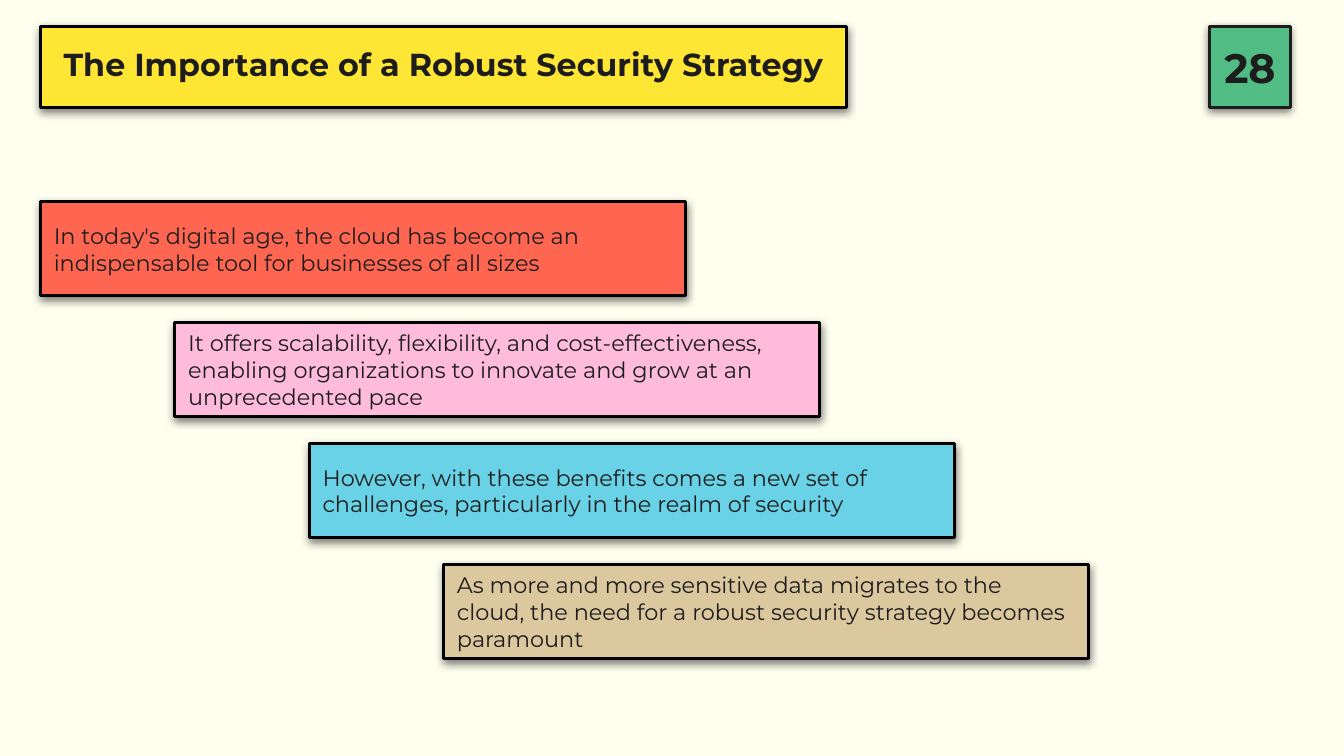
import dataclasses

import lxml.etree
import pptx
import pptx.dml.color
import pptx.enum.shapes
import pptx.enum.text
import pptx.oxml.ns
import pptx.util

Inches = pptx.util.Inches
Align = pptx.enum.text.PP_ALIGN


@dataclasses.dataclass(frozen=True)
class Theme:
    font: str = "Montserrat"
    background: str = "FFFFF0"
    ink: str = "1D1D1D"
    border: str = "000000"
    shadow: str = "000000"
    title_fill: str = "FFE534"
    number_fill: str = "51BD85"
    step_fills: tuple = ("FF6652", "FFBBDC", "6AD2E6", "DBC89F")
    title_size: float = 17
    number_size: float = 22
    body_size: float = 12
    border_width: float = 1.5


def color(value):
    return pptx.dml.color.RGBColor.from_string(value)


def add_element(parent, tag, **attributes):
    return lxml.etree.SubElement(parent, pptx.oxml.ns.qn(tag), attributes)


def write_text(box, text, *, theme, size, bold=False, align=Align.LEFT, spacing=1.0):
    frame = box.text_frame
    frame.word_wrap = True
    frame.auto_size = pptx.enum.text.MSO_AUTO_SIZE.NONE
    frame.vertical_anchor = pptx.enum.text.MSO_ANCHOR.MIDDLE
    frame.margin_left = frame.margin_right = Inches(0.1)
    frame.margin_top = frame.margin_bottom = Inches(0.1)

    para = frame.paragraphs[0]
    properties = para._p.get_or_add_pPr()
    properties.set("marL", "0")
    properties.set("indent", "0")
    add_element(properties, "a:buNone")
    para.alignment = align
    para.line_spacing = spacing
    para.space_before = pptx.util.Pt(0)

    span = para.add_run()
    span.text = text
    span.font.name = theme.font
    span.font.size = pptx.util.Pt(size)
    span.font.bold = bold
    span.font.color.rgb = color(theme.ink)


class SlideBuilder:
    def __init__(self, deck, theme):
        self.theme = theme
        # The comparison layout has a title and four text placeholders
        self.page = deck.slides.add_slide(deck.slide_layouts[4])
        self.page.background.fill.solid()
        self.page.background.fill.fore_color.rgb = color(theme.background)
        self.bodies = list(self.page.placeholders)[1:]

    def style_card(self, box, left, top, width, height, fill, border):
        box.left, box.top = Inches(left), Inches(top)
        box.width, box.height = Inches(width), Inches(height)
        box.fill.solid()
        box.fill.fore_color.rgb = color(fill)
        box.line.color.rgb = color(border)
        box.line.width = pptx.util.Pt(self.theme.border_width)
        self.add_shadow(box)

    def add_shadow(self, box):
        effects = add_element(box._element.spPr, "a:effectLst")
        shadow = add_element(
            effects, "a:outerShdw", blurRad=str(pptx.util.Pt(4.5)),
            dist=str(pptx.util.Pt(1.5)), dir="5400000", algn="bl", rotWithShape="0")
        tint = add_element(shadow, "a:srgbClr", val=self.theme.shadow)
        add_element(tint, "a:alpha", val="50000")

    def add_title(self, text):
        box = self.page.shapes.title
        self.style_card(box, 0.3, 0.2, 6, 0.6, self.theme.title_fill, self.theme.border)
        write_text(box, text, theme=self.theme, size=self.theme.title_size,
                   bold=True, align=Align.CENTER, spacing=0.8)

    def add_page_number(self, text):
        box = self.page.shapes.add_shape(
            pptx.enum.shapes.MSO_SHAPE.RECTANGLE, 0, 0, 0, 0)
        self.style_card(box, 9, 0.2, 0.6, 0.6, self.theme.number_fill, self.theme.ink)
        write_text(box, text, theme=self.theme, size=self.theme.number_size,
                   bold=True, align=Align.CENTER)

    def add_steps(self, texts):
        # Each card sits one inch right of and 0.9 inch below the last
        cards = zip(self.bodies, texts, self.theme.step_fills)
        for index, (box, text, fill) in enumerate(cards):
            self.style_card(box, 0.3 + index, 1.5 + 0.9 * index, 4.8, 0.7,
                            fill, self.theme.border)
            write_text(box, text, theme=self.theme, size=self.theme.body_size)


def main():
    # Widescreen page, 16:9
    deck = pptx.Presentation()
    deck.slide_width = Inches(10)
    deck.slide_height = deck.slide_width * 9 // 16
    builder = SlideBuilder(deck, Theme())

    # Header
    builder.add_page_number("28")
    builder.add_title("The Importance of a Robust Security Strategy")

    # Staircase of points
    builder.add_steps([
        "In today's digital age, the cloud has become an indispensable tool "
        "for businesses of all sizes",
        "It offers scalability, flexibility, and cost-effectiveness, enabling "
        "organizations to innovate and grow at an unprecedented pace",
        "However, with these benefits comes a new set of challenges, "
        "particularly in the realm of security",
        "As more and more sensitive data migrates to the cloud, the need for "
        "a robust security strategy becomes paramount",
    ])
    deck.save("out.pptx")


if __name__ == "__main__":
    main()
